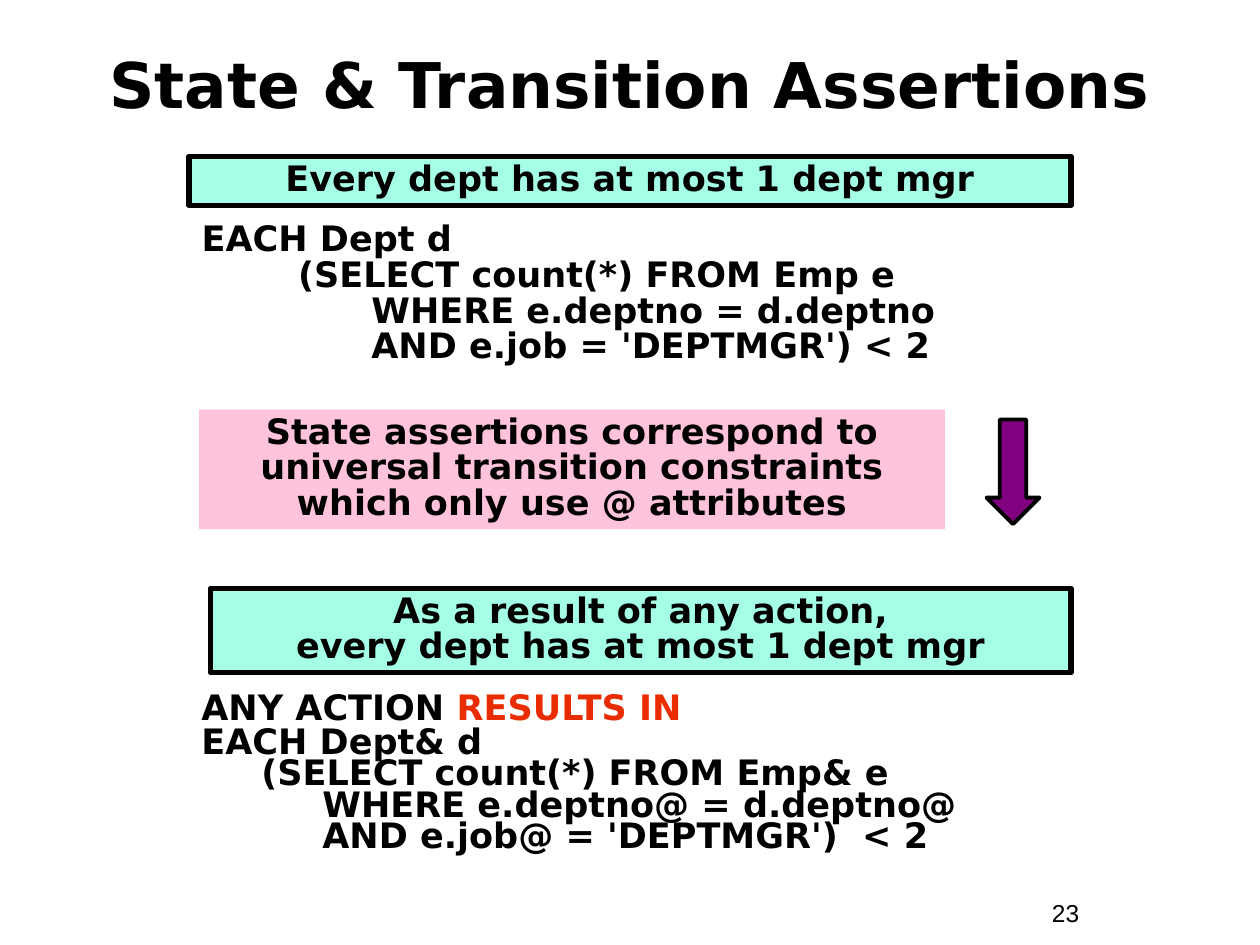
from dataclasses import dataclass
from typing import Optional

from lxml.etree import SubElement
from pptx import Presentation
from pptx.dml.color import RGBColor
from pptx.enum.shapes import MSO_SHAPE
from pptx.enum.text import MSO_ANCHOR, MSO_AUTO_SIZE, PP_ALIGN
from pptx.oxml.ns import qn
from pptx.util import Inches, Pt

BLACK, RED, MINT, PINK, PURPLE = "000000", "EA2D00", "A5FFE7", "FFC3DB", "800080"
FONT = "DejaVu Sans"


@dataclass
class Banner:
    text: str
    left: float
    top: float
    width: float
    height: float
    fill: str
    line_width: Optional[float] = None


BANNERS = [
    Banner("Every dept has at most 1 dept mgr", 1.5, 1.24, 7, 0.39, MINT, 3),
    Banner("As a result of any action,\nevery dept has at most 1 dept mgr",
           1.67, 4.67, 6.83, 0.67, MINT, 3),
    Banner("State assertions correspond to\nuniversal transition constraints\n"
           "which only use @ attributes", 1.58, 3.25, 5.92, 0.95, PINK),
]

STATE_ASSERTION = """EACH Dept d
    (SELECT count(*) FROM Emp e
          WHERE e.deptno = d.deptno
          AND e.job = 'DEPTMGR') < 2"""

TRANSITION_ASSERTION = """EACH Dept& d
 (SELECT count(*) FROM Emp& e
      WHERE e.deptno@ = d.deptno@
      AND e.job@ = 'DEPTMGR')  < 2"""


def rgb(color: str) -> RGBColor:
    return RGBColor.from_string(color)


def place(shape, left: float, top: float, width: float, height: float) -> None:
    shape.left, shape.top = Inches(left), Inches(top)
    shape.width, shape.height = Inches(width), Inches(height)


def prepare_frame(shape, anchor=MSO_ANCHOR.TOP):
    frame = shape.text_frame
    frame.word_wrap = True
    frame.auto_size = MSO_AUTO_SIZE.NONE
    frame.vertical_anchor = anchor
    return frame


def format_paragraph(paragraph, size: float, spacing: float = 0.85,
                     align=PP_ALIGN.LEFT, name: str = FONT, bold: bool = True) -> None:
    paragraph.alignment = align
    paragraph.line_spacing = spacing
    paragraph.space_before = Pt(0)
    paragraph.font.name = name
    paragraph.font.size = Pt(size)
    paragraph.font.bold = bold
    paragraph.font.color.rgb = rgb(BLACK)


def format_code(paragraph, spacing: float) -> None:
    """Give a code paragraph a hanging indent and no bullet."""
    properties = paragraph._p.get_or_add_pPr()
    properties.set("marL", str(Inches(0.38)))
    properties.set("indent", str(Inches(-0.38)))
    SubElement(properties, qn("a:buNone"))
    format_paragraph(paragraph, 20, spacing)


def add_filled_shape(slide, kind, box, fill: str, line_width: Optional[float]):
    shape = slide.shapes.add_shape(kind, *map(Inches, box))
    shape.shadow.inherit = False
    shape.fill.solid()
    shape.fill.fore_color.rgb = rgb(fill)
    if line_width is None:
        shape.line.fill.background()
    else:
        shape.line.color.rgb = rgb(BLACK)
        shape.line.width = Pt(line_width)
    return shape


def add_banner(slide, banner: Banner) -> None:
    box = (banner.left, banner.top, banner.width, banner.height)
    shape = add_filled_shape(slide, MSO_SHAPE.RECTANGLE, box, banner.fill, banner.line_width)
    paragraph = prepare_frame(shape).paragraphs[0]
    paragraph.text = banner.text
    format_paragraph(paragraph, 20, align=PP_ALIGN.CENTER)


def add_text_box(slide, left: float, top: float, width: float, height: float):
    box = slide.shapes.add_textbox(*map(Inches, (left, top, width, height)))
    return prepare_frame(box)


def main() -> None:
    presentation = Presentation()
    presentation.slide_width, presentation.slide_height = Inches(10), Inches(7.5)
    slide = presentation.slides.add_slide(presentation.slide_layouts[1])

    title = slide.shapes.title
    place(title, 0.33, 0.33, 9.33, 0.75)
    heading = prepare_frame(title, MSO_ANCHOR.MIDDLE).paragraphs[0]
    heading.text = "State & Transition Assertions"
    format_paragraph(heading, 36, align=PP_ALIGN.CENTER)

    body = slide.placeholders[1]
    place(body, 1.5, 1.72, 7, 1.42)
    state_code = prepare_frame(body).paragraphs[0]
    state_code.text = STATE_ASSERTION
    format_code(state_code, 0.85)

    transition_frame = add_text_box(slide, 1.5, 5.47, 7, 1.5)
    action = transition_frame.paragraphs[0]
    action.add_run().text = "ANY ACTION "
    result = action.add_run()
    result.text = "RESULTS IN"
    result.font.color.rgb = rgb(RED)
    transition_code = transition_frame.add_paragraph()
    transition_code.text = TRANSITION_ASSERTION
    for paragraph in transition_frame.paragraphs:
        format_code(paragraph, 0.75)
    transition_code.space_before = Pt(1.2)

    for banner in BANNERS:
        add_banner(slide, banner)
    add_filled_shape(slide, MSO_SHAPE.DOWN_ARROW, (7.83, 3.33, 0.42, 0.83), PURPLE, 2.25)

    number = add_text_box(slide, 8.25, 7.08, 0.92, 0.34).paragraphs[0]
    number.text = "23"
    format_paragraph(number, 14, 1.0, name="Arial", bold=False)

    presentation.save("out.pptx")


if __name__ == "__main__":
    main()
